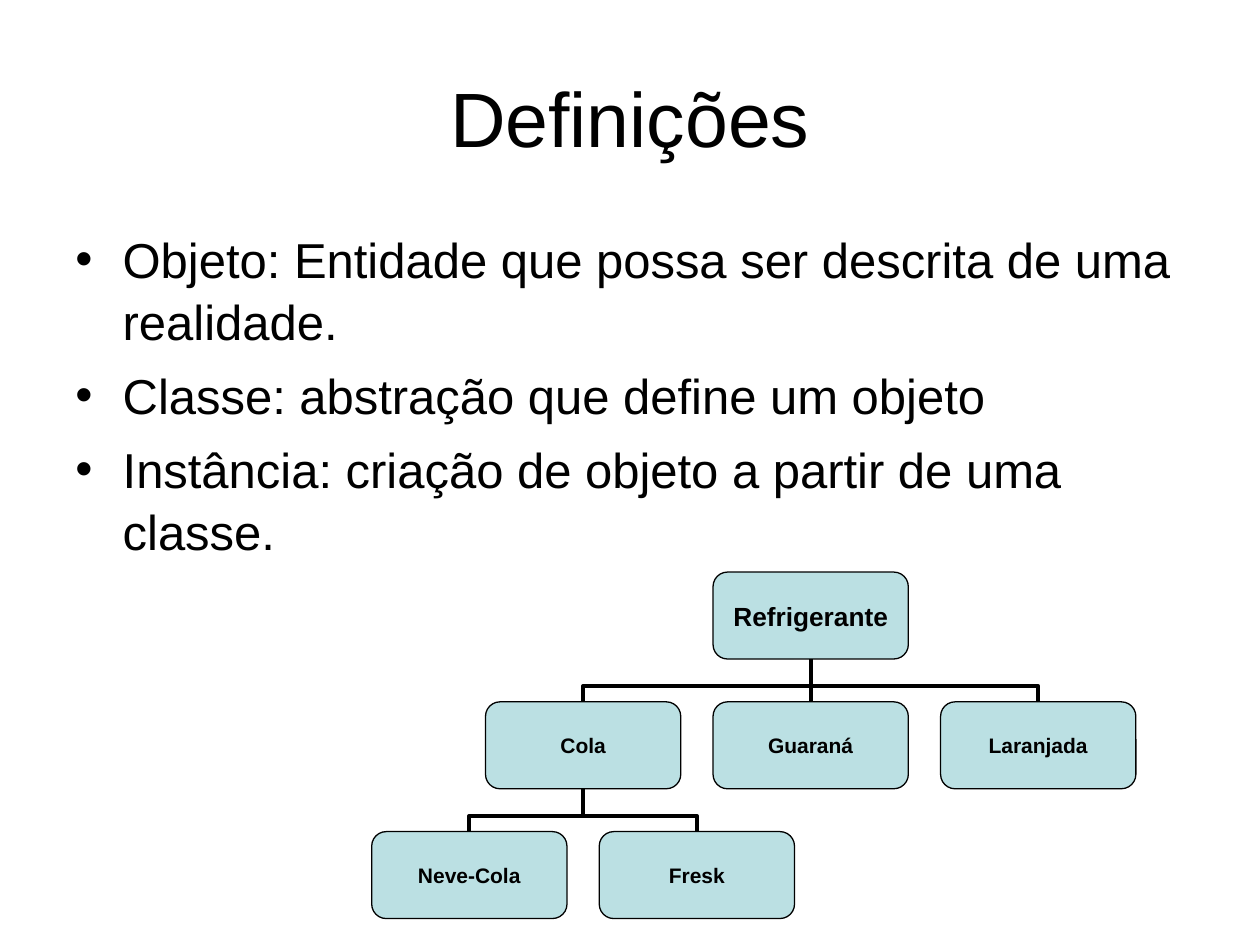
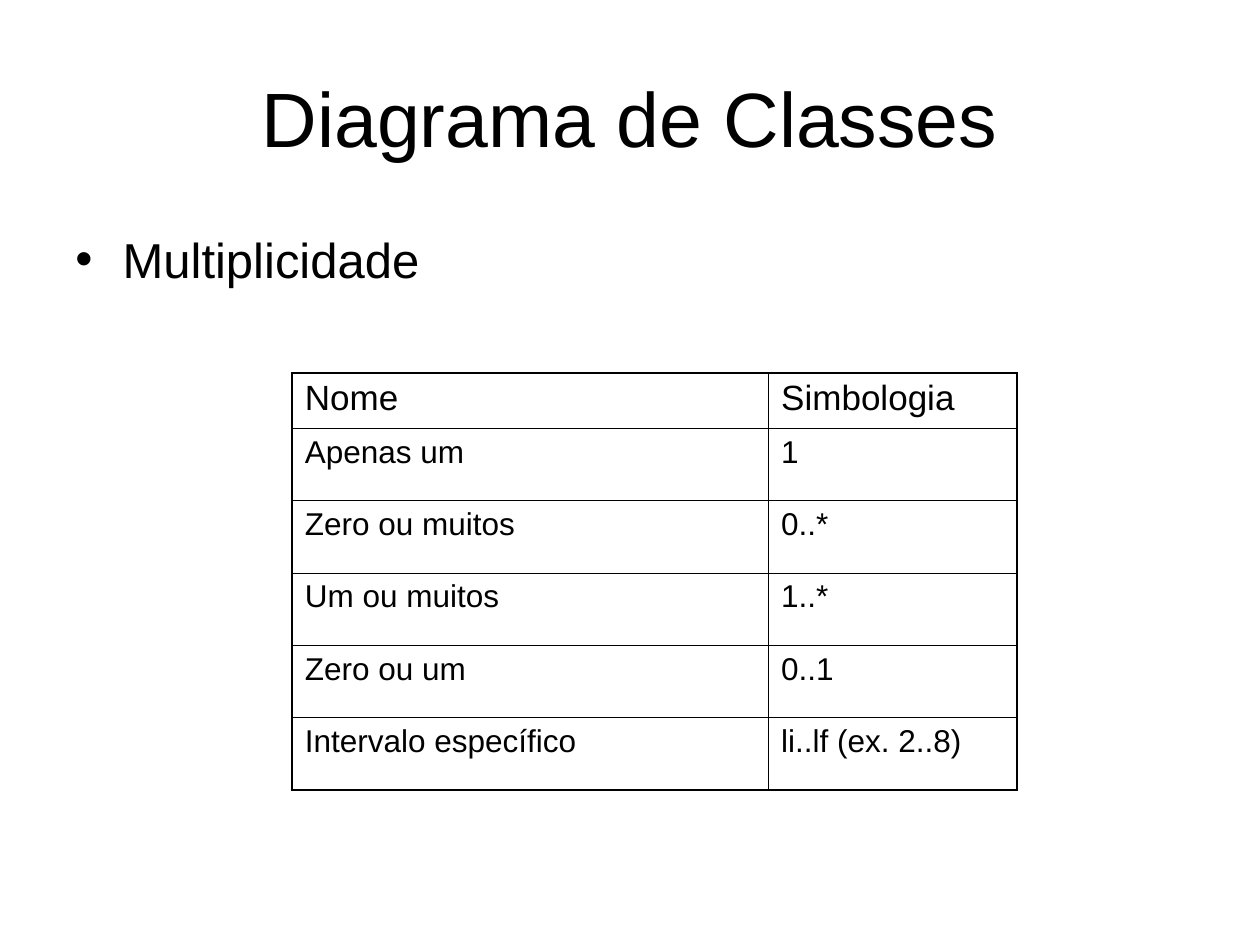
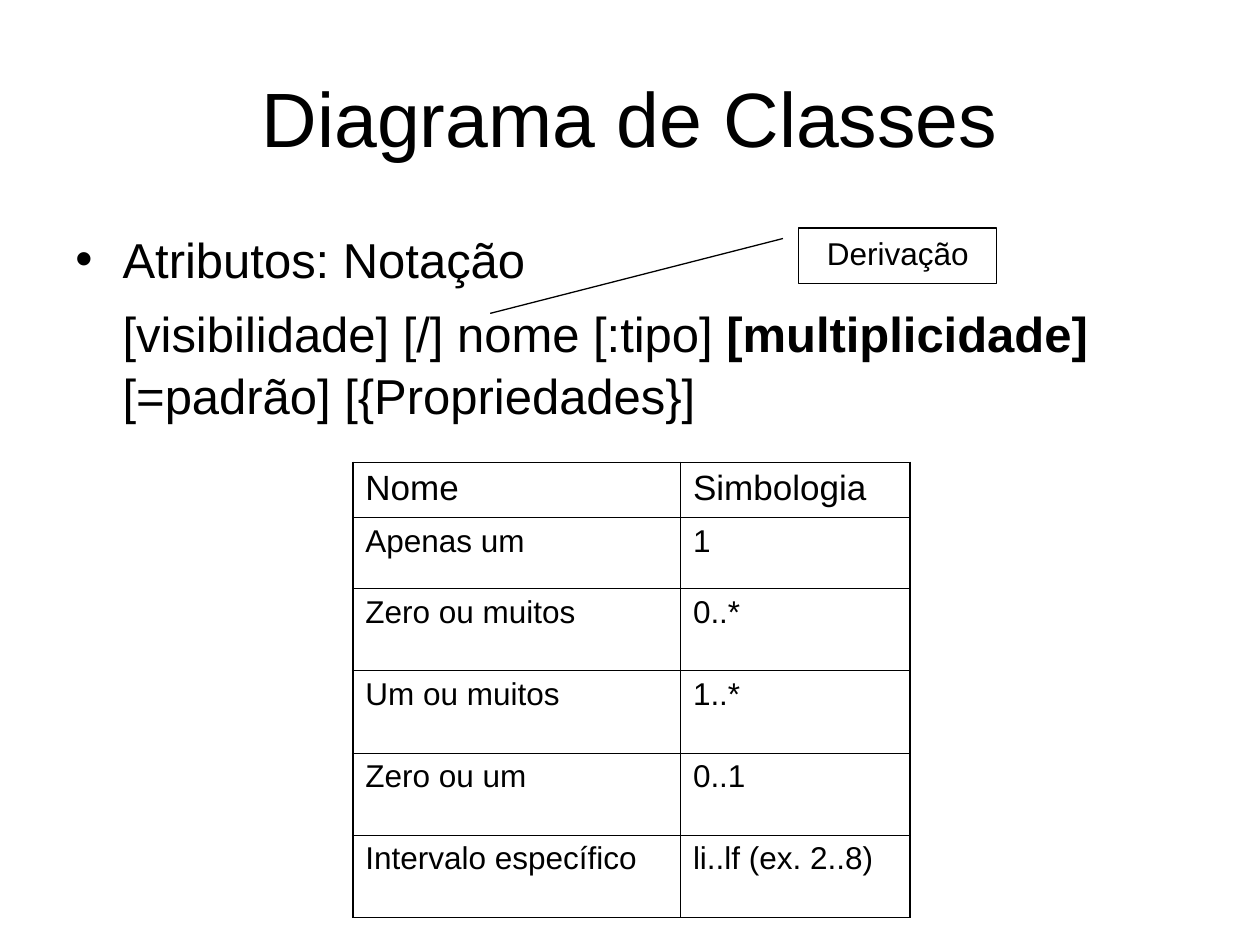
from lxml.etree import SubElement as Sub
from pptx import Presentation
from pptx.dml.color import RGBColor as Rgb
from pptx.enum.shapes import MSO_CONNECTOR as Link, MSO_SHAPE as Kind
from pptx.enum.text import MSO_ANCHOR as Anchor, PP_ALIGN as Align
from pptx.oxml.ns import qn
from pptx.util import Inches, Pt

HUES = {"ink": "000000", "node": "BBE0E3"}
INK = Rgb.from_string(HUES["ink"])
FONT = "Arial"

deck = Presentation()
deck.slide_width, deck.slide_height = Inches(10), Inches(7.5)
UNIT = deck.slide_width / 100


def grid(*sizes):
    return [round(size * UNIT) for size in sizes]


def write(par, text, size, bold=False, align=Align.LEFT):
    par.alignment = align
    run = par.add_run()
    run.text = text
    font = run.font
    font.name, font.size, font.bold = FONT, Pt(size), bold
    font.color.rgb = INK


pages = [
    ("Definições", 91.5, [
        (True, [("Objeto: Entidade que possa ser descrita de uma realidade.", False)]),
        (True, [("Classe: abstração que define um objeto", False)]),
        (True, [("Instância: criação de objeto a partir de uma classe.", False)]),
    ]),
    ("Diagrama de Classes", 44.2, [(True, [("Multiplicidade", False)])]),
    ("Diagrama de Classes", 92.3, [
        (True, [("Atributos: Notação", False)]),
        (False, [("[visibilidade] [/] nome [:tipo] ", False),
                 ("[multiplicidade]", True),
                 (" [=padrão] [{Propriedades}]", False)]),
    ]),
]
slides = []
for title, width, items in pages:
    slide = deck.slides.add_slide(deck.slide_layouts[6])
    slides.append(slide)
    head = slide.shapes.add_textbox(*grid(5, 3, 90, 12.5)).text_frame
    head.word_wrap, head.vertical_anchor = True, Anchor.MIDDLE
    write(head.paragraphs[0], title, 44, align=Align.CENTER)

    body = slide.shapes.add_textbox(*grid(5, 17.5, width, 49.5)).text_frame
    body.word_wrap = True
    for i, (dot, runs) in enumerate(items):
        par = body.add_paragraph() if i else body.paragraphs[0]
        props = par._p.get_or_add_pPr()
        inset = grid(3.75)[0]
        props.set("marL", str(inset))
        props.set("indent", str(-inset if dot else 0))
        if dot:
            Sub(props, qn("a:buFont"), typeface=FONT)
            Sub(props, qn("a:buChar"), char="•")
        else:
            Sub(props, qn("a:buNone"))
        par.line_spacing = 1.05
        if i:
            par.space_before = Pt(7)
        for text, bold in runs:
            write(par, text, 28, bold)

LEFT, TOP, STEP, RISE = 29.5, 45.4, 18.06, 10.3
WIDE, HIGH = 15.5, 6.9
GAP = RISE - HIGH
nodes = [
    ("Refrigerante", 1.5, 0, 15, None),
    ("Cola", 0.5, 1, 12, 0),
    ("Guaraná", 1.5, 1, 12, 0),
    ("Laranjada", 2.5, 1, 12, 0),
    ("Neve-Cola", 0, 2, 12, 1),
    ("Fresk", 1, 2, 12, 1),
]
tree = slides[0].shapes
boxes = []
for label, col, row, size, up in nodes:
    x, y = LEFT + col * STEP, TOP + row * RISE
    box = tree.add_shape(Kind.ROUNDED_RECTANGLE, *grid(x, y, WIDE, HIGH))
    boxes.append(box)
    box.shadow.inherit = False
    box.fill.solid()
    box.fill.fore_color.rgb = Rgb.from_string(HUES["node"])
    box.line.color.rgb, box.line.width = INK, Pt(0.75)
    frame = box.text_frame
    frame.margin_left = frame.margin_right = 0
    frame.margin_top = frame.margin_bottom = 0
    frame.word_wrap, frame.vertical_anchor = False, Anchor.MIDDLE
    write(frame.paragraphs[0], label, size, True, Align.CENTER)
    if up is None:
        continue

    shift = col - nodes[up][1]
    if shift:
        mid_x, mid_y = x + WIDE / 2 - shift * STEP / 2, y - GAP / 2
        span = abs(shift) * STEP / 2
        turn = GAP / 2 if shift > 0 else -GAP / 2
        link = tree.add_connector(Link.ELBOW, *grid(
            mid_x - turn, mid_y + span, mid_x + turn, mid_y - span))
        link._element.spPr.find(qn("a:xfrm")).set(
            "rot", str((270 if shift > 0 else 90) * 60000))
        shape = link._element.spPr.find(qn("a:prstGeom"))
        Sub(shape.find(qn("a:avLst")), qn("a:gd"), name="adj1", fmla="val 36300")
    else:
        link = tree.add_connector(Link.STRAIGHT, 0, 0, 0, 0)
        link.begin_connect(box, 0)
        link.end_connect(boxes[up], 2)
    link.line.color.rgb, link.line.width = INK, Pt(2.25)
    Sub(link._element.spPr, qn("a:effectLst"))

note = slides[2].shapes.add_shape(Kind.LINE_CALLOUT_1, *grid(63.4, 18.1, 15.7, 4.4))
note.shadow.inherit = False
note.fill.background()
note.line.color.rgb, note.line.width = INK, Pt(0.75)
for i, value in enumerate([0.19, -0.08, 1.54, -1.56]):
    note.adjustments[i] = value
note.text_frame.vertical_anchor = Anchor.TOP
write(note.text_frame.paragraphs[0], "Derivação", 18, align=Align.CENTER)

data = [
    ("Nome", "Simbologia"),
    ("Apenas um", "1"),
    ("Zero ou muitos", "0..*"),
    ("Um ou muitos", "1..*"),
    ("Zero ou um", "0..1"),
    ("Intervalo específico", "li..lf (ex. 2..8)"),
]
places = [
    (slides[1], 23.2, 29.6, [37.8, 19.7], [4.4] + [5.74] * 5),
    (slides[2], 28, 36.7, [26, 18.2], [4.4, 5.6] + [6.53] * 4),
]
for slide, x, y, cols, rows in places:
    table = slide.shapes.add_table(
        len(rows), len(cols), *grid(x, y, sum(cols), sum(rows))).table
    table.first_row = table.horz_banding = False
    for col, width in zip(table.columns, grid(*cols)):
        col.width = width
    for row, height in zip(table.rows, grid(*rows)):
        row.height = height
    for r, line in enumerate(data):
        for c, text in enumerate(line):
            cell = table.cell(r, c)
            write(cell.text_frame.paragraphs[0], text, 18 if r else 20)
            outer = {"L": c == 0, "R": c == len(cols) - 1,
                     "T": r == 0, "B": r == len(rows) - 1}
            props = cell._tc.get_or_add_tcPr()
            for side, edge in outer.items():
                rule = Sub(props, qn("a:ln" + side), w=str(Pt(1.08 if edge else 0.45)))
                Sub(Sub(rule, qn("a:solidFill")), qn("a:srgbClr"), val=HUES["ink"])
            cell.fill.background()

deck.save("out.pptx")
